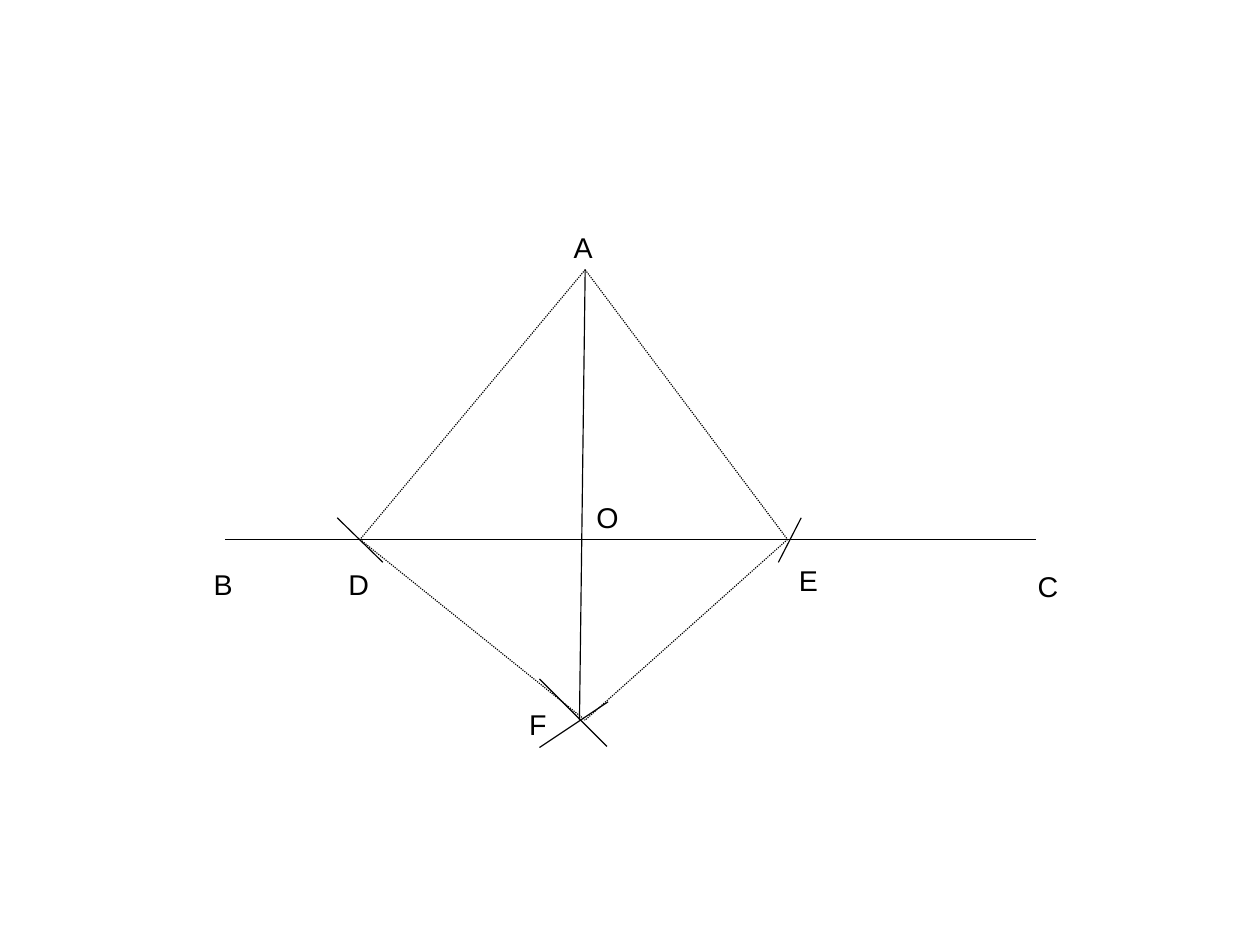
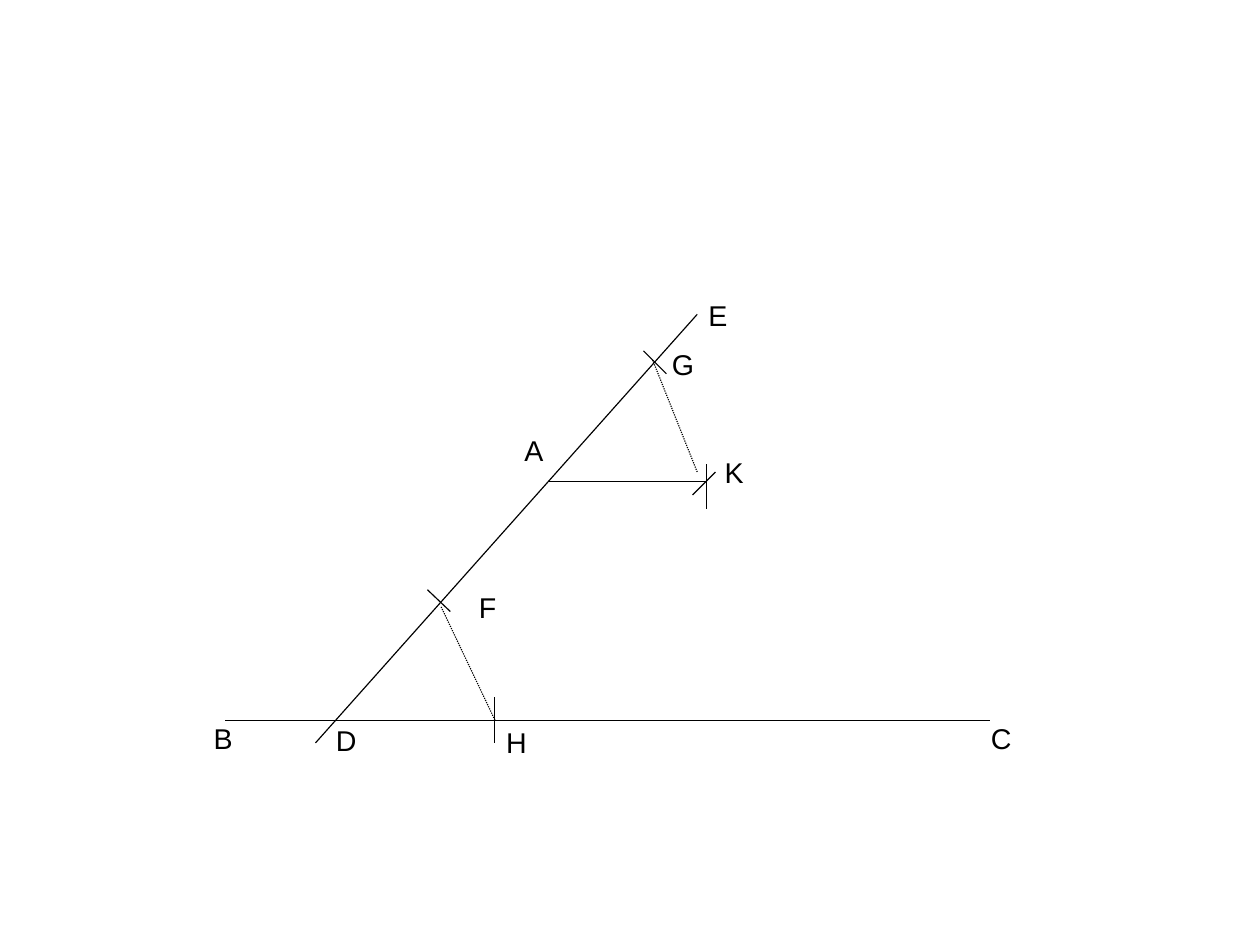
from dataclasses import dataclass

from lxml import etree
from pptx import Presentation
from pptx import util as u
from pptx.dml import color
from pptx.enum import dml, shapes, text
from pptx.oxml import ns


@dataclass(frozen=True)
class Theme:
    ink: color.RGBColor = color.RGBColor(0, 0, 0)
    paper: color.RGBColor = color.RGBColor(255, 255, 255)
    font: str = "Arial"
    label_size: u.Pt = u.Pt(18)
    line_width: u.Pt = u.Pt(0.75)
    line_spacing: float = 0.93


THEME = Theme()
BLANK_LAYOUT = 6
LABEL_WIDTH, LABEL_HEIGHT = 0.39, 0.38


class Figure:
    """Draws lines and labels in inches from the corner of a box on the slide."""

    def __init__(self, slide, left, top):
        self.shapes = slide.shapes
        self.left, self.top = left, top

    def place(self, point):
        return u.Inches(self.left + point[0]), u.Inches(self.top + point[1])

    def line(self, start, end, dotted=False):
        connector = self.shapes.add_connector(
            shapes.MSO_CONNECTOR.STRAIGHT, *self.place(start), *self.place(end))
        connector.line.color.rgb = THEME.ink
        connector.line.width = THEME.line_width
        if dotted:
            connector.line.dash_style = dml.MSO_LINE.ROUND_DOT
        properties = connector._element.spPr
        etree.SubElement(properties, ns.qn("a:effectLst"))

    def lines(self, segments, dotted=False):
        for start, end in segments:
            self.line(start, end, dotted)

    def labels(self, corners):
        """Writes each letter in a text box with the given top left corner."""
        for letter, corner in corners.items():
            box = self.shapes.add_textbox(
                *self.place(corner), u.Inches(LABEL_WIDTH), u.Inches(LABEL_HEIGHT))
            frame = box.text_frame
            frame.word_wrap = True
            frame.vertical_anchor = text.MSO_ANCHOR.TOP
            frame.margin_left = frame.margin_right = u.Inches(0.1)
            frame.margin_top, frame.margin_bottom = u.Inches(0.07), u.Inches(0.05)
            paragraph = frame.paragraphs[0]
            paragraph.text = letter
            paragraph.line_spacing = THEME.line_spacing
            paragraph.font.name = THEME.font
            paragraph.font.size = THEME.label_size
            paragraph.font.color.rgb = THEME.ink


def draw_perpendicular(slide, left, top):
    """Perpendicular from point A to line BC, with its compass marks."""
    figure = Figure(slide, left, top)
    a, b, c = (3.15, 0.39), (0, 2.75), (7.09, 2.75)
    d, e, f = (1.18, 2.75), (4.92, 2.75), (3.15, 4.33)
    perpendicular_foot = (3.10, 4.33)
    compass_marks = [
        ((0.98, 2.56), (1.38, 2.95)),
        ((5.04, 2.56), (4.84, 2.95)),
        ((3.35, 4.17), (2.75, 4.57)),
        ((2.75, 3.97), (3.34, 4.56)),
    ]
    figure.lines([(b, c), (a, perpendicular_foot)] + compass_marks)
    figure.lines([(a, d), (a, e), (d, f), (e, f)], dotted=True)
    figure.labels({
        "A": (2.95, 0), "B": (-0.2, 2.95), "C": (7.01, 2.96), "D": (0.98, 2.95),
        "E": (4.92, 2.91), "F": (2.56, 4.17), "O": (3.15, 2.36),
    })


def draw_parallel(slide, left, top):
    """Parallel to line BC through point A, made by copying the angle at D."""
    figure = Figure(slide, left, top)
    a, b, c = (2.83, 1.65), (0, 3.74), (6.69, 3.74)
    e, f, g = (4.13, 0.19), (1.89, 2.75), (3.74, 0.59)
    h, k = (2.36, 3.74), (4.21, 1.65)
    transversal_start, chord_end = (0.79, 3.94), (4.13, 1.57)
    compass_marks = [
        ((1.77, 2.60), (1.97, 2.79)),
        ((2.36, 3.54), (2.36, 3.94)),
        ((3.66, 0.51), (3.86, 0.71)),
        ((4.21, 1.50), (4.21, 1.89)),
        ((4.29, 1.57), (4.09, 1.77)),
    ]
    figure.lines([(b, c), (transversal_start, e), (a, k)] + compass_marks)
    figure.lines([(f, h), (g, chord_end)], dotted=True)
    figure.labels({
        "A": (2.52, 1.18), "B": (-0.2, 3.7), "C": (6.6, 3.7), "D": (0.87, 3.72),
        "E": (4.13, 0), "F": (2.12, 2.56), "G": (3.81, 0.43), "H": (2.36, 3.74),
        "K": (4.27, 1.38),
    })


def main():
    presentation = Presentation()
    presentation.slide_width = u.Cm(28)
    presentation.slide_height = u.Cm(21)
    background = presentation.slide_master.background.fill
    background.solid()
    background.fore_color.rgb = THEME.paper
    layout = presentation.slide_layouts[BLANK_LAYOUT]
    for draw, left, top in ((draw_perpendicular, 1.97, 1.97),
                            (draw_parallel, 1.97, 2.56)):
        draw(presentation.slides.add_slide(layout), left, top)
    presentation.save("out.pptx")


if __name__ == "__main__":
    main()
